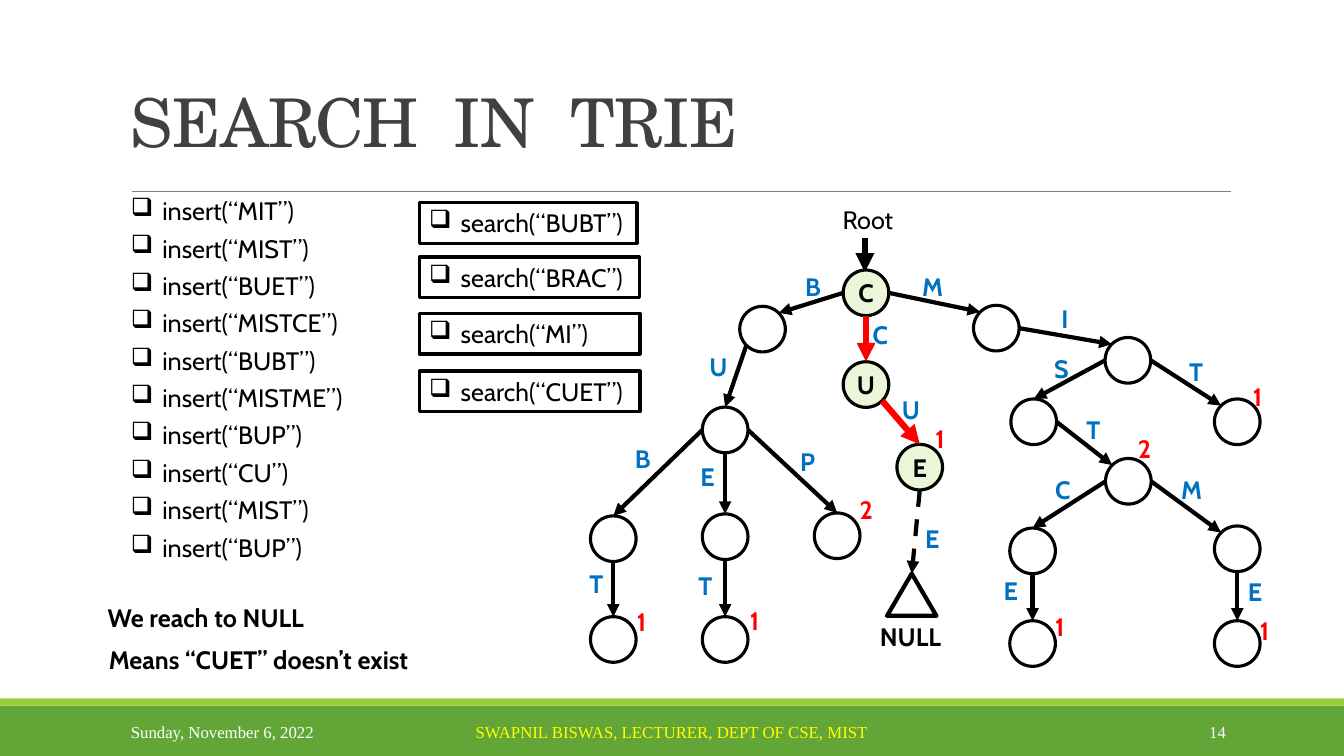
from dataclasses import dataclass

import lxml.etree
import pptx
import pptx.dml.color
import pptx.enum.dml
import pptx.enum.shapes
import pptx.enum.text
import pptx.oxml.ns
import pptx.util

Pt = pptx.util.Pt
ALIGN = pptx.enum.text.PP_ALIGN
ANCHOR = pptx.enum.text.MSO_ANCHOR
SHAPE = pptx.enum.shapes.MSO_SHAPE
Point = tuple[float, float]
Frame = tuple[float, float, float, float]


@dataclass(frozen=True)
class Theme:
    black: str = "000000"
    white: str = "FFFFFF"
    red: str = "FF0000"
    blue: str = "0070C0"
    yellow: str = "FFFF00"
    title: str = "404040"
    rule: str = "808080"
    green: str = "63A537"
    lime: str = "99CB38"
    visited: str = "EBF5D7"
    title_font: str = "TeX Gyre Schola"
    body_font: str = "Cabin"
    footer_font: str = "Times New Roman"
    title_size: float = 48
    body_size: float = 18
    footer_size: float = 12


@dataclass(frozen=True)
class TextStyle:
    font: str
    size: float
    color: str
    bold: bool = False
    align: ALIGN = ALIGN.LEFT
    anchor: ANCHOR = ANCHOR.TOP


@dataclass(frozen=True)
class Node:
    """A trie node; its parent is the node for the word without its last letter."""
    word: str
    center: Point
    ports: tuple[str, str] = ("S", "N")
    letter_at: Point = (0, 0)
    count: str = ""
    count_at: Point = (0, 0)


THEME = Theme()
BODY = TextStyle(THEME.body_font, THEME.body_size, THEME.black)
STRONG = TextStyle(THEME.body_font, THEME.body_size, THEME.black, True)
LETTER = TextStyle(THEME.body_font, THEME.body_size, THEME.blue, True)
COUNT = TextStyle(THEME.body_font, THEME.body_size, THEME.red, True)
VISITED = TextStyle(THEME.body_font, THEME.body_size, THEME.black, True, ALIGN.CENTER, ANCHOR.MIDDLE)
TITLE = TextStyle(THEME.title_font, THEME.title_size, THEME.title, anchor=ANCHOR.BOTTOM)

RADIUS = 16.3
DIAGONAL = RADIUS * 0.71
PORTS = {"N": (0, -RADIUS), "S": (0, RADIUS), "W": (-RADIUS, 0), "E": (RADIUS, 0),
         "NW": (-DIAGONAL, -DIAGONAL), "NE": (DIAGONAL, -DIAGONAL),
         "SW": (-DIAGONAL, DIAGONAL), "SE": (DIAGONAL, DIAGONAL)}
LINE_HEIGHT = 29
LETTER_WIDTHS = {"M": 31, "U": 27, "I": 19.5}
INSERTED = ["MIT", "MIST", "BUET", "MISTCE", "BUBT", "MISTME", "BUP", "CU", "MIST", "BUP"]
SEARCHED = [("BUBT", 144.7, 155.5), ("BRAC", 183.6, 157), ("MI", 223.9, 157.7), ("CUET", 265, 157.7)]
SEARCH_STEPS = {"": "C", "C": "U", "CU": "E"}
NODES = [
    Node("", (618.6, 209.2)),
    Node("M", (711.7, 234.4), ("E", "NW"), (651.6, 190.1)),
    Node("MI", (805.7, 257.4), ("E", "NW"), (751, 213.1)),
    Node("MIT", (883.8, 301.3), ("E", "NW"), (842.4, 250.6), "1", (887.8, 268.6)),
    Node("MIS", (738.4, 301.3), ("W", "N"), (745.9, 249.1)),
    Node("MIST", (806, 343.8), ("E", "NW"), (769, 292.3), "2", (805.7, 306)),
    Node("MISTC", (737.6, 393.5), ("W", "N"), (746.6, 335.5)),
    Node("MISTCE", (737.6, 459.7), ("S", "N"), (709.9, 407.5), "1", (746.6, 433.4)),
    Node("MISTM", (883.8, 392), ("E", "NW"), (836.6, 335.5)),
    Node("MISTME", (883.8, 459.7), ("S", "N"), (884.2, 408.2), "1", (892.8, 436.3)),
    Node("B", (544.7, 235.1), ("W", "NE"), (568.1, 190.1)),
    Node("BU", (518, 307.1), ("SW", "N"), (499.7, 247.7)),
    Node("BUB", (438.1, 384.8), ("W", "N"), (446.4, 313.2)),
    Node("BUBT", (438.1, 456.8), ("S", "N"), (414, 402.5), "1", (447.8, 429.8)),
    Node("BUE", (518, 383.4), ("S", "N"), (493.2, 326.2)),
    Node("BUET", (518, 456.8), ("S", "N"), (491.8, 403.9), "1", (528.5, 429.1)),
    Node("BUP", (598, 382.7), ("E", "N"), (564.5, 315.4), "2", (607, 349.2)),
    Node("C", (618.6, 274.7), ("S", "N"), (616.3, 224.6)),
    Node("CU", (657, 333.7), ("SE", "N"), (637.2, 277.9), "1", (661, 298.8)),
]


def rgb(color: str) -> pptx.dml.color.RGBColor:
    return pptx.dml.color.RGBColor.from_string(color)


def add_xml(parent, tag: str, **attributes: str):
    return lxml.etree.SubElement(parent, pptx.oxml.ns.qn(tag), attributes)


def write(box, text: str, style: TextStyle, bullet: bool = False):
    frame = box.text_frame
    frame.text = text
    frame.word_wrap = True
    frame.vertical_anchor = style.anchor
    para = frame.paragraphs[0]
    para.alignment = style.align
    span = para.runs[0]
    span.font.name, span.font.size, span.font.bold = style.font, Pt(style.size), style.bold
    span.font.color.rgb = rgb(style.color)
    if bullet:
        properties = para._p.get_or_add_pPr()
        properties.set("marL", str(Pt(22.5)))
        properties.set("indent", str(Pt(-22.5)))
        add_xml(properties, "a:buChar", char="❑")
    return para


def add_text(page, frame: Frame, text: str, style: TextStyle, bullet: bool = False):
    return write(page.shapes.add_textbox(*map(Pt, frame)), text, style, bullet)


def add_letter(page, at: Point, letter: str) -> None:
    add_text(page, (*at, LETTER_WIDTHS.get(letter, 25), LINE_HEIGHT), letter, LETTER)


def add_box(page, kind: SHAPE, frame: Frame, fill: str = "", line_width: float = 0):
    box = page.shapes.add_shape(kind, *map(Pt, frame))
    box.shadow.inherit = False
    if fill:
        box.fill.solid()
        box.fill.fore_color.rgb = rgb(fill)
    else:
        box.fill.background()
    if line_width:
        box.line.color.rgb = rgb(THEME.black)
        box.line.width = Pt(line_width)
    else:
        box.line.fill.background()
    return box


def add_line(page, start: Point, end: Point, color: str, width: float,
             arrow: bool = True, dashed: bool = False) -> None:
    line = page.shapes.add_connector(pptx.enum.shapes.MSO_CONNECTOR.STRAIGHT, *map(Pt, start + end))
    line.line.color.rgb = rgb(color)
    line.line.width = Pt(width)
    if dashed:
        line.line.dash_style = pptx.enum.dml.MSO_LINE.DASH
    if arrow:
        add_xml(line.line._get_or_add_ln(), "a:tailEnd", type="triangle")
    add_xml(line._element.spPr, "a:effectLst")


def port(node: Node, name: str) -> Point:
    return node.center[0] + PORTS[name][0], node.center[1] + PORTS[name][1]


def draw_frame(page) -> None:
    """Title, rule and footer band."""
    add_box(page, SHAPE.RECTANGLE, (0, 504, 960, 36), THEME.green)
    add_box(page, SHAPE.RECTANGLE, (0, 498.8, 960, 5.2), THEME.lime)
    add_line(page, (94.3, 136.8), (879, 136.8), THEME.rule, 0.5, arrow=False)
    heading = add_text(page, (86.4, 4.3, 792, 114.5), "SEARCH  IN  TRIE", TITLE)
    heading.line_spacing = 0.85
    heading.runs[0].font._element.set("spc", "-50")
    for left, width, text, color, align in [
        (86.4, 194.4, "Sunday, November 6, 2022", THEME.white, ALIGN.LEFT),
        (290.2, 379.4, "SWAPNIL BISWAS, LECTURER, DEPT OF CSE, MIST", THEME.yellow, ALIGN.CENTER),
        (779.8, 103, "14", THEME.white, ALIGN.RIGHT),
    ]:
        style = TextStyle(THEME.footer_font, THEME.footer_size, color, align=align, anchor=ANCHOR.MIDDLE)
        add_text(page, (left, 508.3, width, 28.8), text, style)


def draw_calls(page) -> None:
    for row, word in enumerate(INSERTED):
        add_text(page, (86.4, 136.1 + 26.7 * row, 172, LINE_HEIGHT), f"insert(“{word}”)", BODY, bullet=True)
    for word, top, width in SEARCHED:
        box = add_box(page, SHAPE.RECTANGLE, (299.5, top, width, LINE_HEIGHT), line_width=2.25)
        write(box, f"search(“{word}”)", BODY, bullet=True)
    add_text(page, (69.8, 427, 164, LINE_HEIGHT), "We reach to NULL", STRONG)
    add_text(page, (70.6, 456.5, 240, LINE_HEIGHT), "Means “CUET” doesn’t exist", STRONG)


def draw_trie(page) -> None:
    by_word = {node.word: node for node in NODES}
    add_text(page, (594.7, 142.6, 54, LINE_HEIGHT), "Root", BODY)
    add_line(page, (617.8, 169.9), (617.8, 194.4), THEME.black, 4.5)
    for node in NODES:
        left, top = node.center[0] - RADIUS, node.center[1] - RADIUS
        visited = node.word in SEARCH_STEPS
        circle = add_box(page, SHAPE.OVAL, (left, top, 2 * RADIUS, 2 * RADIUS),
                         THEME.visited if visited else "", 2.25)
        if visited:
            frame = circle.text_frame
            frame.margin_left = frame.margin_right = frame.margin_top = frame.margin_bottom = 0
            write(circle, SEARCH_STEPS[node.word], VISITED)
        if node.word:
            start = port(by_word[node.word[:-1]], node.ports[0])
            color, width = (THEME.red, 4.5) if visited else (THEME.black, 3)
            add_line(page, start, port(node, node.ports[1]), color, width)
            add_letter(page, node.letter_at, node.word[-1])
        if node.count:
            add_text(page, (*node.count_at, 24.5, LINE_HEIGHT), node.count, COUNT)
    add_box(page, SHAPE.ISOSCELES_TRIANGLE, (633.6, 409.7, 35.3, 30.2), line_width=3)
    add_line(page, port(by_word["CU"], "S"), (651.3, 409.7), THEME.black, 3, dashed=True)
    add_letter(page, (653.8, 370.1), "E")
    add_text(page, (621.4, 439.9, 60, LINE_HEIGHT), "NULL", STRONG)


def main() -> None:
    deck = pptx.Presentation()
    deck.slide_width, deck.slide_height = Pt(960), Pt(540)
    page = deck.slides.add_slide(deck.slide_layouts[6])
    draw_frame(page)
    draw_calls(page)
    draw_trie(page)
    deck.save("out.pptx")


if __name__ == "__main__":
    main()
